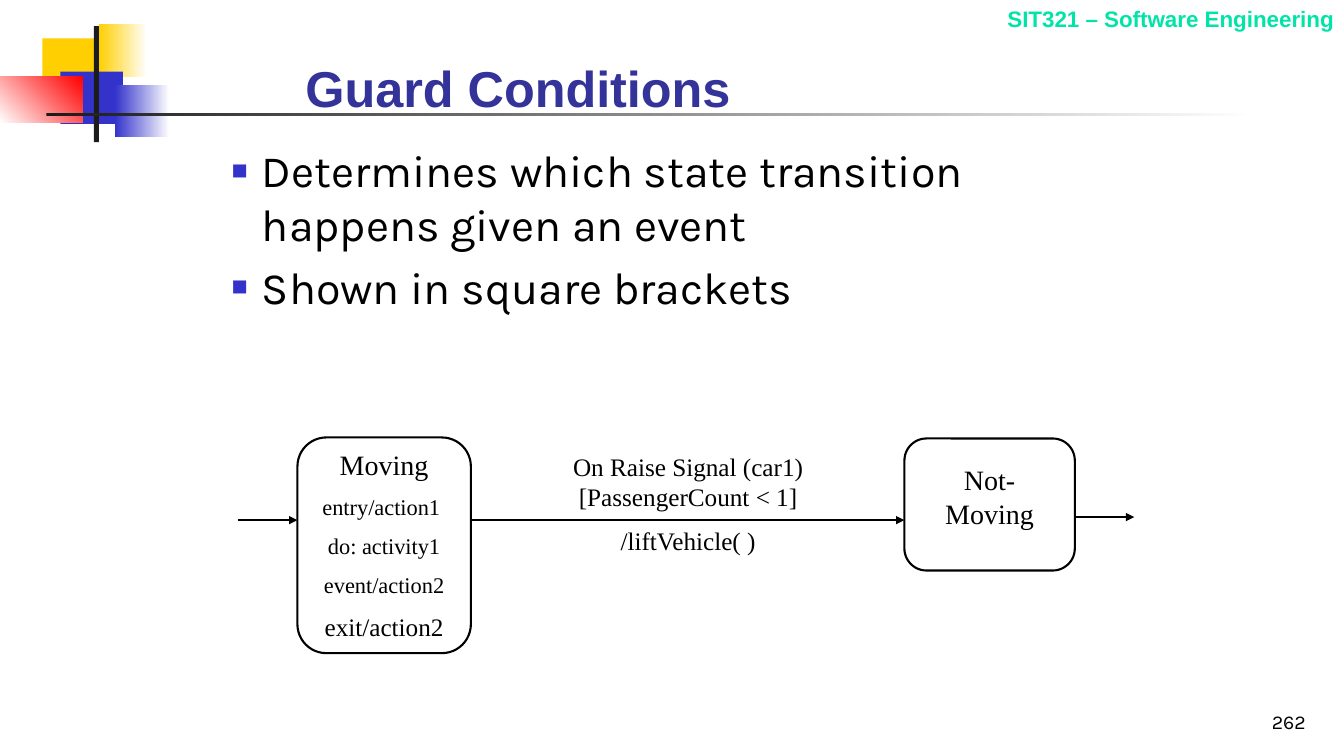
from lxml import etree
from pptx import Presentation
from pptx.dml.color import RGBColor
from pptx.enum.shapes import MSO_CONNECTOR, MSO_SHAPE
from pptx.enum.text import MSO_ANCHOR, PP_ALIGN
from pptx.oxml.ns import qn
from pptx.util import Pt

PX = 9144  # 100 px to the inch

YELLOW = RGBColor(0xFF, 0xCF, 0x01)
BLUE = RGBColor(0x33, 0x33, 0xCC)
RED = RGBColor(0xFF, 0x00, 0x00)
WHITE = RGBColor(0xFF, 0xFF, 0xFF)
CHARCOAL = RGBColor(0x1C, 0x1C, 0x1C)
BLACK = RGBColor(0x00, 0x00, 0x00)
MINT = RGBColor(0x00, 0xE4, 0xA8)
INDIGO = RGBColor(0x33, 0x33, 0x99)

RECTANGLE, ROUNDED = MSO_SHAPE.RECTANGLE, MSO_SHAPE.ROUNDED_RECTANGLE
STRAIGHT = MSO_CONNECTOR.STRAIGHT
TOP, BOTTOM = MSO_ANCHOR.TOP, MSO_ANCHOR.BOTTOM
LEFT, CENTER, RIGHT = PP_ALIGN.LEFT, PP_ALIGN.CENTER, PP_ALIGN.RIGHT

HEADER = {"name": "Arial", "size": Pt(16), "bold": True}
TITLE = {"name": "Arial", "size": Pt(36), "bold": True}
BODY = {"name": "Karla", "size": Pt(32)}
NUMBER = {"name": "Karla", "size": Pt(14)}
STATE = {"name": "Times New Roman", "size": Pt(20)}
ACTION = {"name": "Times New Roman", "size": Pt(16)}
LABEL = {"name": "Times New Roman", "size": Pt(18)}

LINE_WIDTH = Pt(1.5)
BULLET_INDENT = 30


def emu(*lengths):
    return [length * PX for length in lengths]


def add_bullet(paragraph):
    properties = paragraph._p.get_or_add_pPr()
    properties.set("marL", str(BULLET_INDENT * PX))
    properties.set("indent", str(-BULLET_INDENT * PX))
    color = etree.SubElement(properties, qn("a:buClr"))
    etree.SubElement(color, qn("a:srgbClr"), val=str(BLUE))
    etree.SubElement(properties, qn("a:buSzPct"), val="60000")
    etree.SubElement(properties, qn("a:buFont"), typeface="Arial")
    etree.SubElement(properties, qn("a:buChar"), char="■")


def add_text(slide, box, lines, color=BLACK, align=LEFT, anchor=TOP,
             gap=0.54, bullets=False):
    """Write (text, font format) lines; gap is a share of the font size."""
    frame = slide.shapes.add_textbox(*emu(*box)).text_frame
    frame.word_wrap = True
    frame.vertical_anchor = anchor
    for index, (text, font_format) in enumerate(lines):
        paragraph = frame.add_paragraph() if index else frame.paragraphs[0]
        paragraph.alignment = align
        if index:
            paragraph.space_before = Pt(round(font_format["size"].pt * gap, 1))
        if bullets:
            add_bullet(paragraph)
        run = paragraph.add_run()
        run.text = text
        for name, value in font_format.items():
            setattr(run.font, name, value)
        run.font.color.rgb = color


def add_block(slide, box, start, end=None, angle=0):
    """Add a borderless block, plain or fading from start to end."""
    block = slide.shapes.add_shape(RECTANGLE, *emu(*box))
    block.shadow.inherit = False
    block.line.fill.background()
    if end is None:
        block.fill.solid()
        block.fill.fore_color.rgb = start
        return
    block.fill.gradient()
    block.fill.gradient_angle = angle
    for stop, color in zip(block.fill.gradient_stops, (start, end)):
        stop.color.rgb = color


def add_ornament(slide, left, top):
    add_block(slide, (left + 42, top + 14, 64, 52), YELLOW)
    add_block(slide, (left + 98, top, 48, 52), YELLOW, WHITE)
    add_block(slide, (left + 60, top + 47, 62, 52), BLUE)
    add_block(slide, (left + 114, top + 60, 54, 52), BLUE, WHITE)
    add_block(slide, (left, top + 52, 82, 46), WHITE, RED, 45)
    add_block(slide, (left + 93, top + 2, 5, 115), CHARCOAL)
    add_block(slide, (left + 46, top + 88, 1200, 3), CHARCOAL, WHITE)


def add_state(slide, box, text_inset, lines):
    left, top, width, height = box
    state = slide.shapes.add_shape(ROUNDED, *emu(*box))
    state.adjustments[0] = 0.167
    state.shadow.inherit = False
    state.fill.background()
    state.line.color.rgb = BLACK
    state.line.width = LINE_WIDTH
    inset_x, inset_y = text_inset
    text_box = (left + inset_x, top + inset_y,
                width - 2 * inset_x, height - 2 * inset_y)
    add_text(slide, text_box, lines, align=CENTER)


def add_arrow(slide, start, end, y):
    arrow = slide.shapes.add_connector(STRAIGHT, *emu(start, y, end, y))
    arrow.line.color.rgb = BLACK
    arrow.line.width = LINE_WIDTH
    etree.SubElement(arrow.line._get_or_add_ln(), qn("a:tailEnd"), type="triangle")
    etree.SubElement(arrow._element.spPr, qn("a:effectLst"))


def add_state_diagram(slide, left, top):
    moving = (left + 59, top, 172, 214)
    not_moving = (left + 661, top + 1, 169, 131)
    moving_right = moving[0] + moving[2]
    not_moving_right = not_moving[0] + not_moving[2]

    # States
    add_state(slide, moving, (14, 5), [
        ("Moving", STATE),
        ("entry/action1 ", ACTION),
        ("do: activity1", ACTION),
        ("event/action2", ACTION),
        ("exit/action2", LABEL),
    ])
    add_state(slide, not_moving, (9, 19), [("Not-Moving", STATE)])

    # Transitions
    add_arrow(slide, moving_right, not_moving[0], top + 82)
    add_arrow(slide, left, moving[0], top + 82)
    add_arrow(slide, not_moving_right, not_moving_right + 59, top + 79)

    # Guard condition
    add_text(slide, (moving_right + 8, top + 9, 415, 115), [
        ("On Raise Signal (car1)[PassengerCount < 1]", LABEL),
        ("/liftVehicle( )", LABEL),
    ], align=CENTER)


def build_slide(presentation):
    slide = presentation.slides.add_slide(presentation.slide_layouts[6])
    add_ornament(slide, 0, 24)

    # Header, page number and title
    add_text(slide, (803, 0, 530, 37), [("SIT321 – Software Engineering", HEADER)],
             MINT, RIGHT)
    add_text(slide, (1027, 683, 278, 50), [("262", NUMBER)],
             align=RIGHT, anchor=BOTTOM)
    add_text(slide, (293, 41, 852, 81), [("Guard Conditions", TITLE)],
             INDIGO, anchor=BOTTOM)

    # Bullet points
    add_text(slide, (220, 137, 899, 301), [
        ("Determines which state transition happens given an event", BODY),
        ("Shown in square brackets", BODY),
    ], gap=0.2, bullets=True)

    add_state_diagram(slide, 236, 434)


def main():
    presentation = Presentation()
    presentation.slide_width, presentation.slide_height = emu(1333, 750)
    build_slide(presentation)
    presentation.save("out.pptx")


if __name__ == "__main__":
    main()
